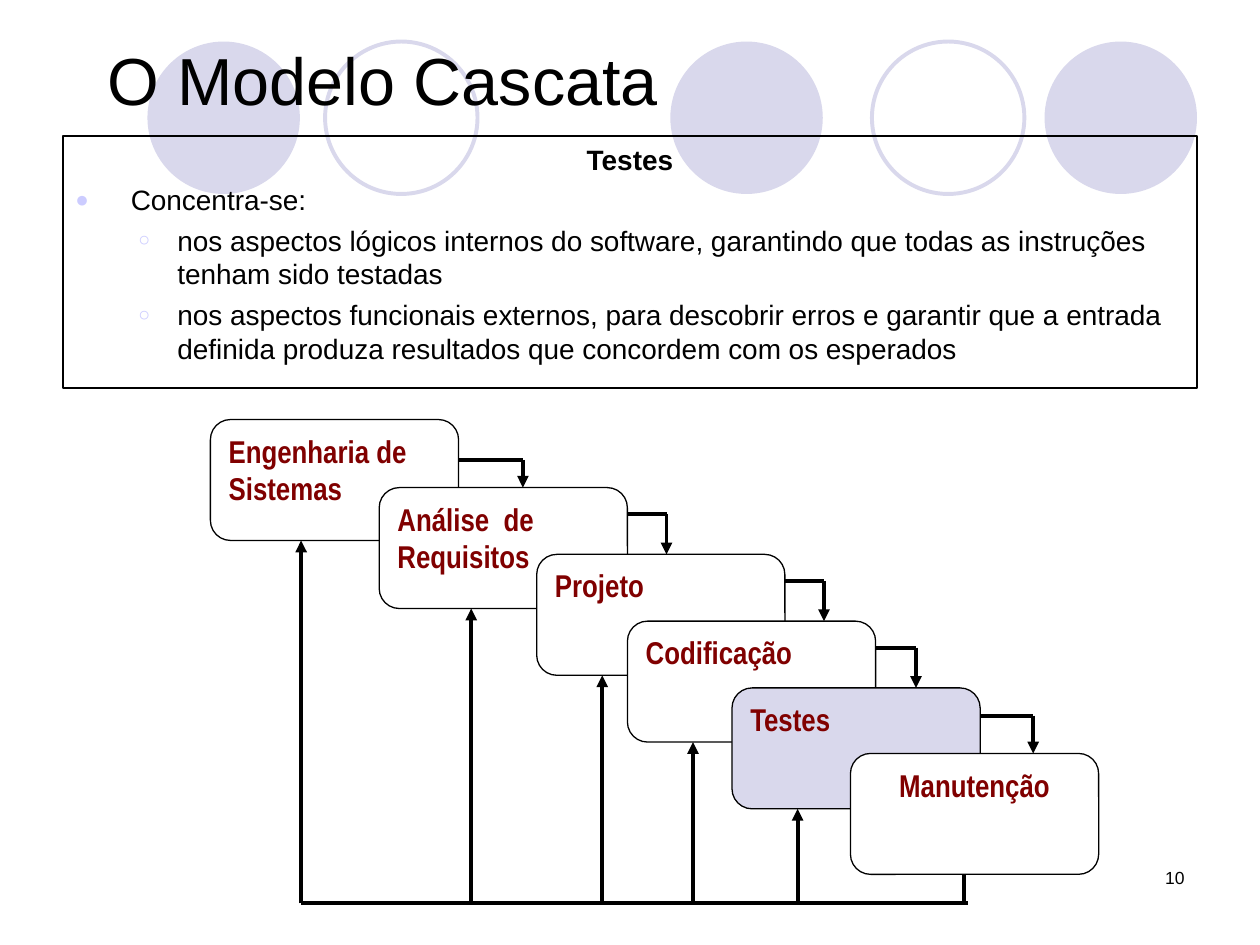
from pptx import Presentation
from pptx.dml.color import RGBColor
from pptx.enum.shapes import MSO_CONNECTOR, MSO_SHAPE
from pptx.enum.text import MSO_ANCHOR, PP_ALIGN
from pptx.oxml.ns import qn
from pptx.util import Inches, Pt
from lxml.etree import SubElement

COLORS = {"black": "000000", "white": "FFFFFF", "lilac": "D9D8EC",
          "bullet": "CCCCFF", "maroon": "800000"}

# Background circles: left, filled
CIRCLES = [(5.32, True), (8.29, True), (1.17, True), (6.92, False), (2.58, False)]
CIRCLE_TOP, CIRCLE_SIZE = 0.33, 1.21

# Cascade steps: label, left, top, x of the feedback line
STEPS = [
    ("Engenharia de Sistemas", 1.67, 3.33, 2.39),
    ("Análise  de Requisitos", 3.01, 3.87, 3.74),
    ("Projeto", 4.26, 4.4, 4.78),
    ("Codificação", 4.98, 4.93, 5.5),
    ("Testes", 5.81, 5.46, 6.33),
    ("Manutenção", 6.75, 5.98, 7.65),
]
STEP_WIDTH, STEP_HEIGHT = 1.97, 0.96
# Forward arrows: x of the drop, y of the exit from the step
DROPS = [(4.15, 3.65), (5.29, 4.08), (6.54, 4.61), (7.27, 5.14), (8.2, 5.68)]
FEEDBACK_Y, FEEDBACK_END = 7.17, 7.68

# Text formats
TITLE = {"size": Pt(38), "name": "Arial", "bold": False}
BODY = {"size": Pt(16), "name": "Arial", "bold": False}
HEADING = {**BODY, "bold": True}
STEP = {"size": Pt(18), "name": "Arial Narrow", "bold": True}
NUMBER = {"size": Pt(10), "name": "Arial", "bold": False}

# Bullet levels: character, size in percent, left margin, hanging indent
BULLETS = [("●", 80, 0.44, 0.44), ("○", 70, 0.81, 0.31)]
DETAILS = [
    (0, "Concentra-se:"),
    (1, "nos aspectos lógicos internos do software, garantindo que todas as "
        "instruções tenham sido testadas"),
    (1, "nos aspectos funcionais externos, para descobrir erros e garantir que a "
        "entrada definida produza resultados que concordem com os esperados"),
]


def rgb(color):
    return RGBColor.from_string(COLORS[color])


def write(paragraph, text, formats, color="black", align=PP_ALIGN.LEFT):
    run = paragraph.add_run()
    run.text = text
    paragraph.alignment = align
    for attribute, value in formats.items():
        setattr(run.font, attribute, value)
    run.font.color.rgb = rgb(color)


def add_box(slide, preset, box, fill=None, line=None, width=0.75):
    shape = slide.shapes.add_shape(preset, *map(Inches, box))
    shape.shadow.inherit = False
    if fill:
        shape.fill.solid()
        shape.fill.fore_color.rgb = rgb(fill)
    else:
        shape.fill.background()
    if line:
        shape.line.color.rgb = rgb(line)
        shape.line.width = Pt(width)
    else:
        shape.line.fill.background()
    shape.text_frame.word_wrap = True
    shape.text_frame.vertical_anchor = MSO_ANCHOR.TOP
    return shape


def add_line(slide, start, end, arrow=False):
    line = slide.shapes.add_connector(MSO_CONNECTOR.STRAIGHT,
                                      *map(Inches, (*start, *end)))
    line.line.color.rgb = rgb("black")
    line.line.width = Pt(2.25)
    if arrow:
        SubElement(line.line._get_or_add_ln(), qn("a:tailEnd"), type="triangle")
    SubElement(line._element.spPr, qn("a:effectLst"))


def set_bullet(paragraph, level):
    character, percent, margin, hanging = BULLETS[level]
    paragraph.level = level
    properties = paragraph._p.get_or_add_pPr()
    properties.set("marL", str(Inches(margin)))
    properties.set("indent", str(-Inches(hanging)))
    bullet_color = SubElement(properties, qn("a:buClr"))
    SubElement(bullet_color, qn("a:srgbClr"), val=COLORS["bullet"])
    SubElement(properties, qn("a:buSzPct"), val=str(percent * 1000))
    SubElement(properties, qn("a:buFont"), typeface="Arial")
    SubElement(properties, qn("a:buChar"), char=character)


def add_circles(slide):
    for left, filled in CIRCLES:
        box = (left, CIRCLE_TOP, CIRCLE_SIZE, CIRCLE_SIZE)
        colors = {"fill": "lilac"} if filled else {"line": "lilac", "width": 2.25}
        add_box(slide, MSO_SHAPE.OVAL, box, **colors)


def add_title(slide):
    title = slide.shapes.title
    title.left, title.top, title.width, title.height = map(
        Inches, (0.75, 0, 8.83, 1.25))
    title.text_frame.vertical_anchor = MSO_ANCHOR.MIDDLE
    write(title.text_frame.paragraphs[0], "O Modelo Cascata", TITLE)
    # Bring the title in front of the circles
    title._element.getparent().append(title._element)


def add_steps(slide):
    for label, left, top, _ in STEPS:
        step = add_box(slide, MSO_SHAPE.ROUNDED_RECTANGLE,
                       (left, top, STEP_WIDTH, STEP_HEIGHT),
                       "lilac" if label == "Testes" else "white", "black")
        align = PP_ALIGN.CENTER if label == "Manutenção" else PP_ALIGN.LEFT
        write(step.text_frame.paragraphs[0], label, STEP, "maroon", align)


def add_flow(slide):
    # Forward arrows, from each step to the next
    for (_, left, _, _), (_, _, next_top, _), (x, y) in zip(STEPS, STEPS[1:], DROPS):
        add_line(slide, (left + STEP_WIDTH, y), (x, y))
        add_line(slide, (x, y), (x, next_top), arrow=True)
    # Feedback line, from the last step back to all the others
    add_line(slide, (STEPS[0][3], FEEDBACK_Y), (FEEDBACK_END, FEEDBACK_Y))
    for _, _, top, x in STEPS[:-1]:
        add_line(slide, (x, FEEDBACK_Y), (x, top + STEP_HEIGHT), arrow=True)
    _, _, last_top, last_x = STEPS[-1]
    add_line(slide, (last_x, last_top + STEP_HEIGHT), (last_x, FEEDBACK_Y))


def add_details(slide):
    frame = add_box(slide, MSO_SHAPE.RECTANGLE, (0.5, 1.08, 9, 2),
                    line="black").text_frame
    heading = frame.paragraphs[0]
    heading.space_before = Pt(4)
    write(heading, "Testes", HEADING, align=PP_ALIGN.CENTER)
    for level, text in DETAILS:
        paragraph = frame.add_paragraph()
        paragraph.space_before = Pt(4)
        set_bullet(paragraph, level)
        write(paragraph, text, BODY)


def add_page_number(slide):
    number = slide.shapes.add_textbox(*map(Inches, (7.17, 6.83, 2.33, 0.5)))
    number.text_frame.word_wrap = True
    write(number.text_frame.paragraphs[0], "10", NUMBER, align=PP_ALIGN.RIGHT)


def main():
    deck = Presentation()
    deck.slide_width, deck.slide_height = Inches(10), Inches(7.5)
    slide = deck.slides.add_slide(deck.slide_layouts[5])
    add_circles(slide)
    add_title(slide)
    add_steps(slide)
    add_flow(slide)
    add_details(slide)
    add_page_number(slide)
    deck.save("out.pptx")


if __name__ == "__main__":
    main()
